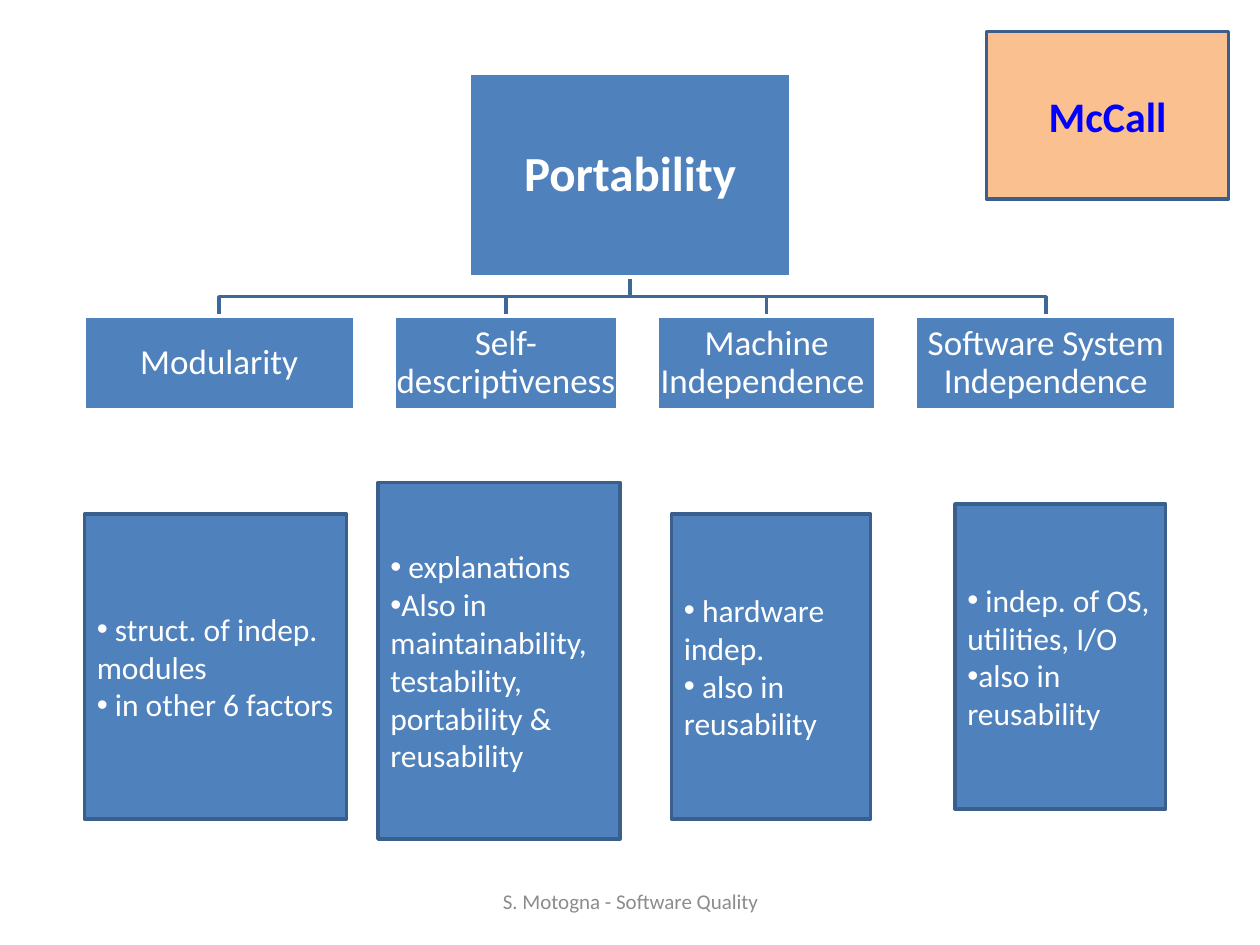
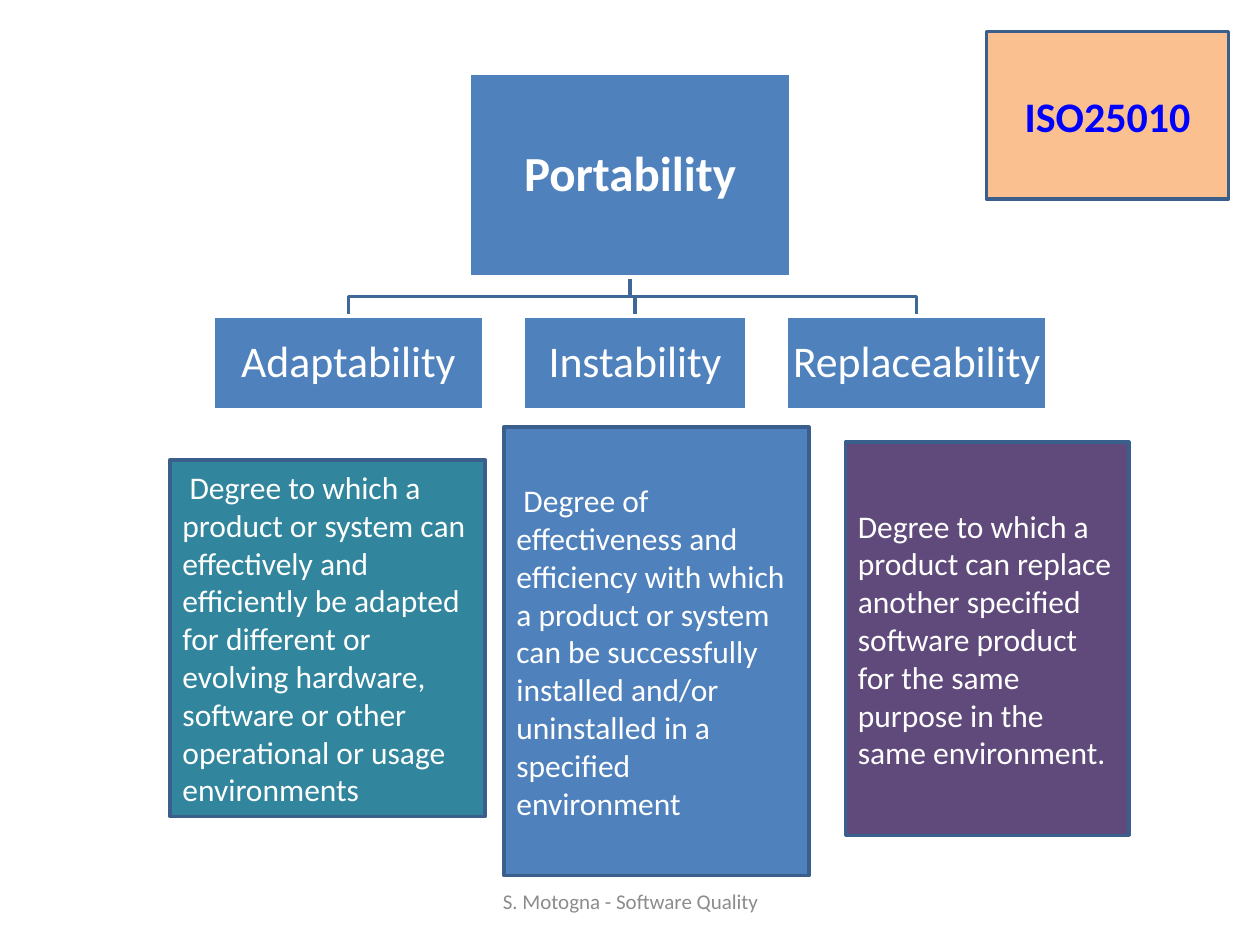
"""Build two slides that break portability into its quality criteria."""
from dataclasses import dataclass

import pptx
import pptx.dml.color
import pptx.enum.shapes
import pptx.enum.text
import pptx.oxml.ns
import pptx.util
from lxml import etree
from pptx.util import Inches

COLOURS = {
    "blue": "4F81BD",
    "teal": "31859C",
    "purple": "604A7B",
    "orange": "FAC090",
    "outline": "3A5F8C",
    "branch": "3F6797",
    "white": "FFFFFF",
    "model": "0000FF",
    "footer": "8C8C8C",
}
FONT = "Calibri"
FOOTER = "S. Motogna - Software Quality"
SLIDE_WIDTH, SLIDE_HEIGHT = 10, 7.5
LINE_WIDTH = 2
FACTOR_TOP, FACTOR_WIDTH, FACTOR_HEIGHT = 0.58, 2.55, 1.62
GAP = 0.31
CRITERION_TOP = FACTOR_TOP + FACTOR_HEIGHT + GAP
CRITERION_HEIGHT = 0.74


@dataclass(frozen=True)
class Area:
    left: float
    top: float
    width: float
    height: float

    @property
    def centre(self) -> float:
        return self.left + self.width / 2

    def lengths(self) -> list[int]:
        return [Inches(value) for value in (self.left, self.top, self.width, self.height)]


@dataclass(frozen=True)
class TextStyle:
    size: float
    colour: str = "white"
    bold: bool = False
    centred: bool = True
    bulleted: bool = False
    line_spacing: float | None = None
    inset: float | None = None


@dataclass(frozen=True)
class Criterion:
    name: str
    width: float
    note: str
    note_area: Area
    note_fill: str = "blue"


@dataclass(frozen=True)
class QualityModel:
    name: str
    criteria: list[Criterion]
    criterion_style: TextStyle
    note_style: TextStyle


FACTOR_STYLE = TextStyle(28, bold=True, line_spacing=0.9, inset=0.02)
MODEL_STYLE = TextStyle(24, "model", bold=True)
FOOTER_STYLE = TextStyle(12, "footer")
FACTOR_AREA = Area((SLIDE_WIDTH - FACTOR_WIDTH) / 2, FACTOR_TOP, FACTOR_WIDTH, FACTOR_HEIGHT)
MODEL_AREA = Area(7.83, 0.25, 1.92, 1.33)
FOOTER_AREA = Area(3.42, 6.95, 3.17, 0.4)

QUALITY_MODELS = [
    QualityModel(
        "McCall",
        [
            Criterion("Modularity", 2.15,
                      " struct. of indep. modules\n in other 6 factors",
                      Area(0.67, 4.08, 2.08, 2.42)),
            Criterion("Self-descriptiveness", 1.78,
                      " explanations\nAlso in maintainability, testability, "
                      "portability & reusability",
                      Area(3, 3.83, 1.92, 2.83)),
            Criterion("Machine Independence ", 1.74,
                      " hardware indep.\n also in reusability",
                      Area(5.33, 4.08, 1.58, 2.42)),
            Criterion("Software System Independence", 2.07,
                      " indep. of OS, utilities, I/O\nalso in reusability",
                      Area(7.58, 4, 1.67, 2.42)),
        ],
        TextStyle(20, line_spacing=0.9, inset=0.01),
        TextStyle(18, centred=False, bulleted=True),
    ),
    QualityModel(
        "ISO25010",
        [
            Criterion("Adaptability", 2.15,
                      " Degree to which a product or system can effectively and "
                      "efficiently be adapted for different or evolving hardware, "
                      "software or other operational or usage environments",
                      Area(1.35, 3.65, 2.5, 2.83), "teal"),
            Criterion("Instability", 1.78,
                      " Degree of effectiveness and efficiency with which a product "
                      "or system can be successfully installed and/or uninstalled "
                      "in a specified environment",
                      Area(4, 3.39, 2.42, 3.56)),
            Criterion("Replaceability", 2.07,
                      "Degree to which a product can replace another specified "
                      "software product for the same purpose in the same environment.",
                      Area(6.71, 3.51, 2.25, 3.12), "purple"),
        ],
        TextStyle(25, line_spacing=0.9, inset=0.02),
        TextStyle(18, centred=False),
    ),
]


def rgb(name: str) -> pptx.dml.color.RGBColor:
    return pptx.dml.color.RGBColor.from_string(COLOURS[name])


def add_bullet(paragraph) -> None:
    properties = paragraph._p.get_or_add_pPr()
    properties.set("marL", "0")
    properties.set("indent", "0")
    for tag, attribute, value in (("a:buFont", "typeface", "Arial"), ("a:buChar", "char", "•")):
        etree.SubElement(properties, pptx.oxml.ns.qn(tag)).set(attribute, value)


def write_text(shape, text: str, style: TextStyle) -> None:
    frame = shape.text_frame
    frame.text = text
    frame.word_wrap = True
    frame.vertical_anchor = pptx.enum.text.MSO_ANCHOR.MIDDLE
    if style.inset is not None:
        frame.margin_left = frame.margin_right = Inches(style.inset)
        frame.margin_top = frame.margin_bottom = Inches(style.inset)
    alignments = pptx.enum.text.PP_ALIGN
    for paragraph in frame.paragraphs:
        paragraph.alignment = alignments.CENTER if style.centred else alignments.LEFT
        if style.line_spacing is not None:
            paragraph.line_spacing = style.line_spacing
        if style.bulleted:
            add_bullet(paragraph)
        for run in paragraph.runs:
            run.font.name = FONT
            run.font.size = pptx.util.Pt(style.size)
            run.font.bold = style.bold
            run.font.color.rgb = rgb(style.colour)


def set_line(shape, colour: str) -> None:
    shape.shadow.inherit = False
    shape.line.color.rgb = rgb(colour)
    shape.line.width = pptx.util.Pt(LINE_WIDTH)


def add_box(slide, area: Area, text: str, style: TextStyle,
            fill: str = "blue", line: str = "outline") -> None:
    shape = slide.shapes.add_shape(pptx.enum.shapes.MSO_SHAPE.RECTANGLE, *area.lengths())
    shape.fill.solid()
    shape.fill.fore_color.rgb = rgb(fill)
    set_line(shape, line)
    write_text(shape, text, style)


def add_branch(slide, criterion_area: Area) -> None:
    start_y = FACTOR_TOP + FACTOR_HEIGHT
    middle_y = start_y + GAP / 2
    points = [
        (FACTOR_AREA.centre, middle_y),
        (criterion_area.centre, middle_y),
        (criterion_area.centre, criterion_area.top),
    ]
    builder = slide.shapes.build_freeform(Inches(FACTOR_AREA.centre), Inches(start_y))
    builder.add_line_segments([(Inches(x), Inches(y)) for x, y in points], close=False)
    branch = builder.convert_to_shape()
    branch.fill.background()
    set_line(branch, "branch")


def criterion_row(criteria: list[Criterion]) -> list[Area]:
    row_width = sum(criterion.width for criterion in criteria) + GAP * (len(criteria) - 1)
    left = (SLIDE_WIDTH - row_width) / 2
    areas = []
    for criterion in criteria:
        areas.append(Area(left, CRITERION_TOP, criterion.width, CRITERION_HEIGHT))
        left += criterion.width + GAP
    return areas


def add_model_slide(presentation, model: QualityModel) -> None:
    slide = presentation.slides.add_slide(presentation.slide_layouts[6])
    write_text(slide.shapes.add_textbox(*FOOTER_AREA.lengths()), FOOTER, FOOTER_STYLE)
    areas = criterion_row(model.criteria)
    for area in reversed(areas):
        add_branch(slide, area)
    add_box(slide, FACTOR_AREA, "Portability", FACTOR_STYLE, line="white")
    for criterion, area in zip(model.criteria, areas):
        add_box(slide, area, criterion.name, model.criterion_style, line="white")
    for criterion in model.criteria:
        add_box(slide, criterion.note_area, criterion.note, model.note_style, criterion.note_fill)
    add_box(slide, MODEL_AREA, model.name, MODEL_STYLE, "orange")


def main() -> None:
    presentation = pptx.Presentation()
    presentation.slide_width = Inches(SLIDE_WIDTH)
    presentation.slide_height = Inches(SLIDE_HEIGHT)
    for model in QUALITY_MODELS:
        add_model_slide(presentation, model)
    presentation.save("out.pptx")


if __name__ == "__main__":
    main()
